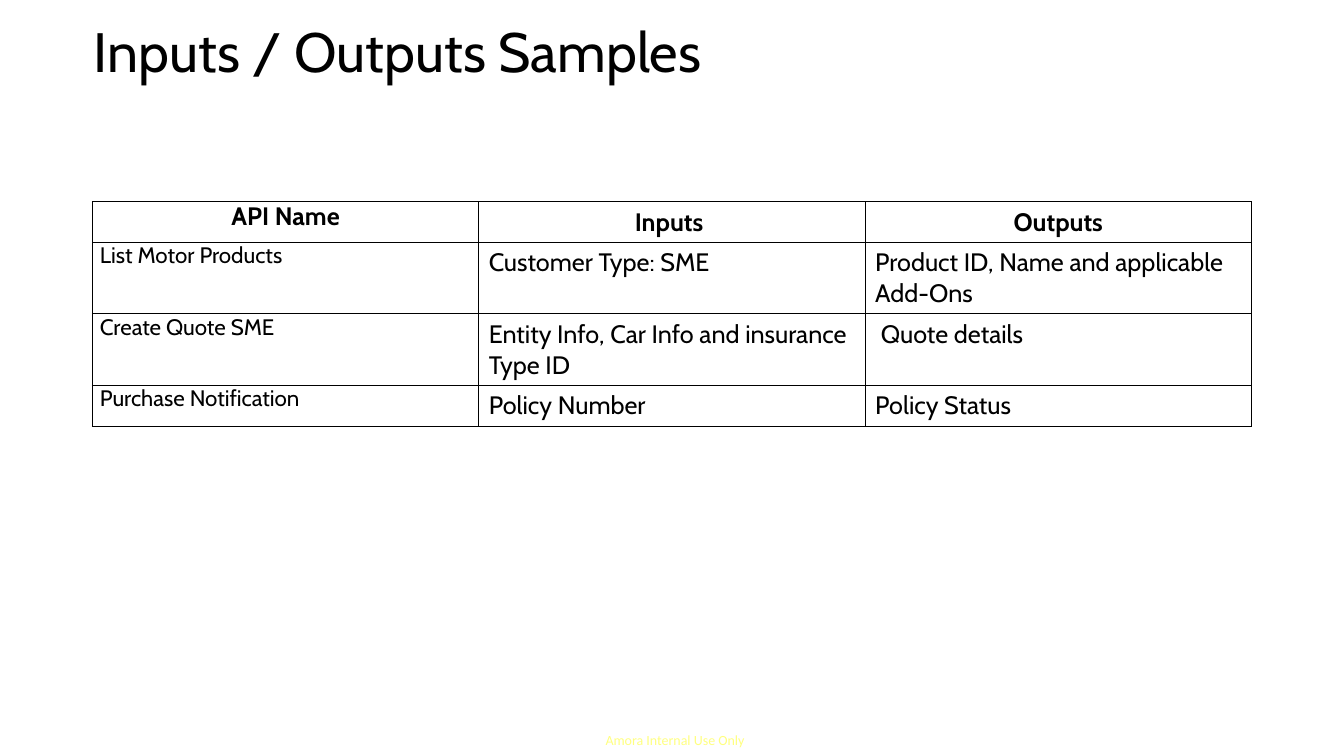
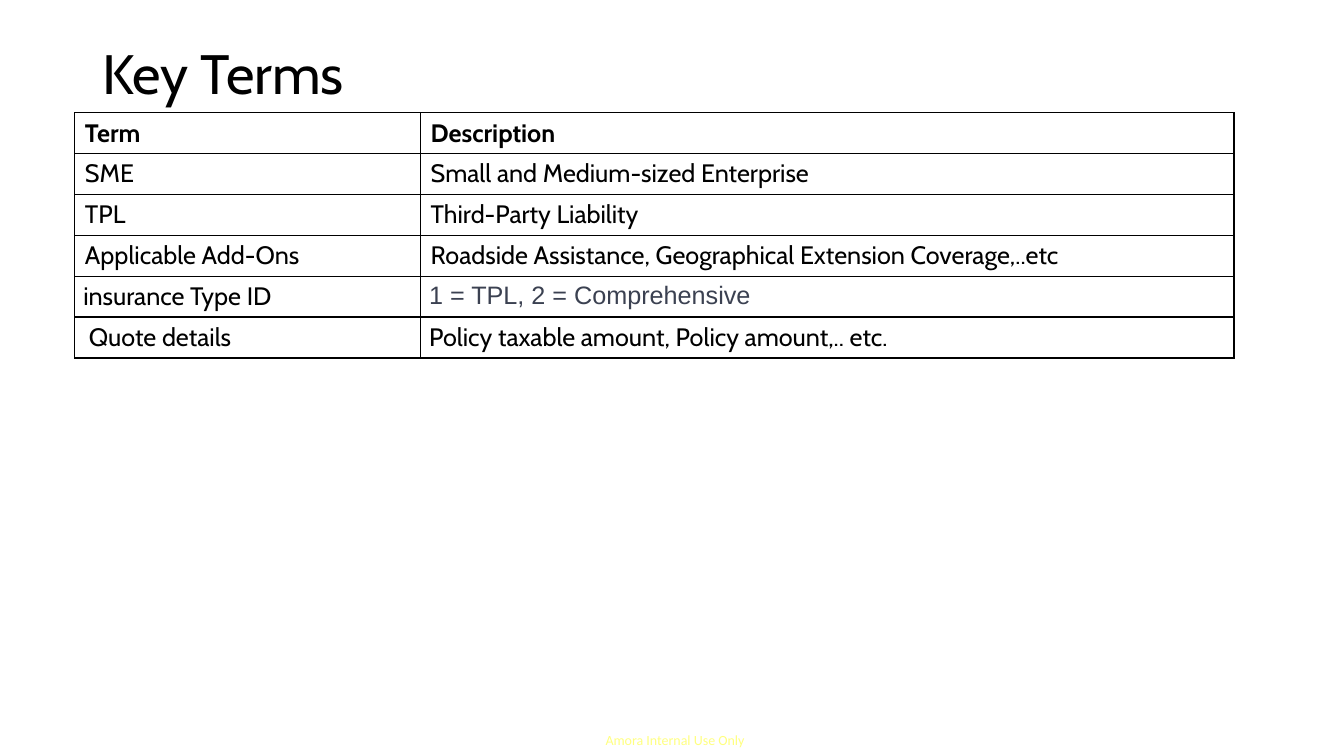
"""Build two slides of API samples and key terms, each a title over a bordered table."""
from dataclasses import dataclass

from lxml import etree
from pptx import Presentation
from pptx.dml.color import RGBColor
from pptx.enum.text import MSO_ANCHOR, PP_ALIGN
from pptx.oxml.ns import qn
from pptx.util import Pt

LEFT, CENTER = PP_ALIGN.LEFT, PP_ALIGN.CENTER
TOP, MIDDLE = MSO_ANCHOR.TOP, MSO_ANCHOR.MIDDLE


@dataclass(frozen=True)
class Theme:
    ink: str = "000000"
    slate: str = "3B4151"
    footer: str = "FFFF00"
    paper: str = "FFFFFF"
    font: str = "Cabin"
    alt_font: str = "Arial"
    footer_font: str = "Calibri"
    title_size: float = 39.6
    body_size: float = 18
    name_size: float = 16
    footer_size: float = 10


THEME = Theme()


def write(tf, text, font=THEME.font, size=THEME.body_size, color=THEME.ink,
          bold=False, align=LEFT, line_spacing=None, alpha=None):
    p = tf.paragraphs[0]
    p.alignment = align
    p.line_spacing = line_spacing
    r = p.add_run()
    r.text = text
    r.font.name = font
    r.font.size = Pt(size)
    r.font.bold = bold
    r.font.color.rgb = RGBColor.from_string(color)
    if alpha is not None:
        clr = r.font.fill._xPr.find(qn("a:solidFill"))[0]
        etree.SubElement(clr, qn("a:alpha"), val=str(alpha * 1000))


def set_margins(target, x, y):
    target.margin_left = target.margin_right = Pt(x)
    target.margin_top = target.margin_bottom = Pt(y)


def set_borders(cell, color, width=1):
    tcPr = cell._tc.get_or_add_tcPr()
    for side in "LRTB":
        ln = etree.SubElement(tcPr, qn(f"a:ln{side}"), w=str(Pt(width)))
        fill = etree.SubElement(ln, qn("a:solidFill"))
        etree.SubElement(fill, qn("a:srgbClr"), val=color)


class Deck:
    def __init__(self, theme):
        self.theme = theme
        self.prs = Presentation()
        self.prs.slide_width, self.prs.slide_height = Pt(960), Pt(540)
        self.s = None

    def slide(self):
        self.s = self.prs.slides.add_slide(self.prs.slide_layouts[6])
        bg = self.s.background.fill
        bg.solid()
        bg.fore_color.rgb = RGBColor.from_string(self.theme.paper)
        self.text("Amora Internal Use Only", 432.5, 522.5, 140, 12.5,
                  margins=(0, 0), font=self.theme.footer_font,
                  size=self.theme.footer_size, color=self.theme.footer, alpha=50)

    def text(self, text, x, y, w, h, margins=(7.2, 3.6), anchor=TOP, **fmt):
        sp = self.s.shapes.add_textbox(Pt(x), Pt(y), Pt(w), Pt(h))
        tf = sp.text_frame
        tf.word_wrap = True
        tf.vertical_anchor = anchor
        set_margins(tf, *margins)
        write(tf, text, **fmt)

    def title(self, text, x, y, h):
        self.text(text, x, y, 828, h, anchor=MIDDLE,
                  size=self.theme.title_size, line_spacing=0.9)

    def table(self, rows, x, y, widths, heights, cell_format):
        frame = self.s.shapes.add_table(len(rows), len(widths), Pt(x), Pt(y),
                                        Pt(sum(widths)), Pt(sum(heights)))
        tbl = frame.table
        tbl.first_row = tbl.horz_banding = False
        for col, width in zip(tbl.columns, widths):
            col.width = Pt(width)
        for i, (row, height) in enumerate(zip(rows, heights)):
            tbl.rows[i].height = Pt(height)
            for j, text in enumerate(row):
                cell = tbl.cell(i, j)
                fmt = {"bold": i == 0, **cell_format(i, j)}
                set_margins(cell, *fmt.pop("margins", (7.2, 3.6)))
                set_borders(cell, self.theme.ink)
                cell.fill.background()
                write(cell.text_frame, text, **fmt)


def sample_format(i, j):
    fmt = {"align": CENTER if i == 0 else LEFT}
    if j == 0:
        fmt["margins"] = (5.4, 0)
        if i > 0:
            fmt["size"] = THEME.name_size
    return fmt


def term_format(i, j):
    fmt = {"margins": (6, 3.6)} if i >= 4 else {}
    if (i, j) == (4, 1):
        fmt.update(font=THEME.alt_font, color=THEME.slate)
    return fmt


ROW_HEIGHT, TALL_ROW_HEIGHT = 29.2, 51

SAMPLES = [
    ("API Name", "Inputs ", "Outputs"),
    ("List Motor Products", "Customer Type: SME",
     "Product ID, Name and applicable Add-Ons"),
    ("Create Quote SME", "Entity Info, Car Info and insurance Type ID",
     " Quote details"),
    ("Purchase Notification", "Policy Number", "Policy Status"),
]

TERMS = [
    ("Term", "Description"),
    ("SME", "Small and Medium-sized Enterprise"),
    ("TPL", "Third-Party Liability"),
    ("Applicable Add-Ons", "Roadside Assistance, Geographical Extension Coverage,..etc"),
    ("insurance Type ID", "1 = TPL, 2 = Comprehensive"),
    (" Quote details", "Policy taxable amount, Policy amount,.. etc."),
]


def main():
    deck = Deck(THEME)

    deck.slide()
    deck.title("Inputs / Outputs Samples", 60, 16.5, 44.5)
    sample_heights = [ROW_HEIGHT, TALL_ROW_HEIGHT, TALL_ROW_HEIGHT, ROW_HEIGHT]
    deck.table(SAMPLES, 66, 144, [276] * 3, sample_heights, sample_format)

    deck.slide()
    deck.title("Key Terms", 66, 29, 52)
    deck.table(TERMS, 53.5, 80.5, [247, 581], [ROW_HEIGHT] * len(TERMS), term_format)

    deck.prs.save("out.pptx")


if __name__ == "__main__":
    main()
